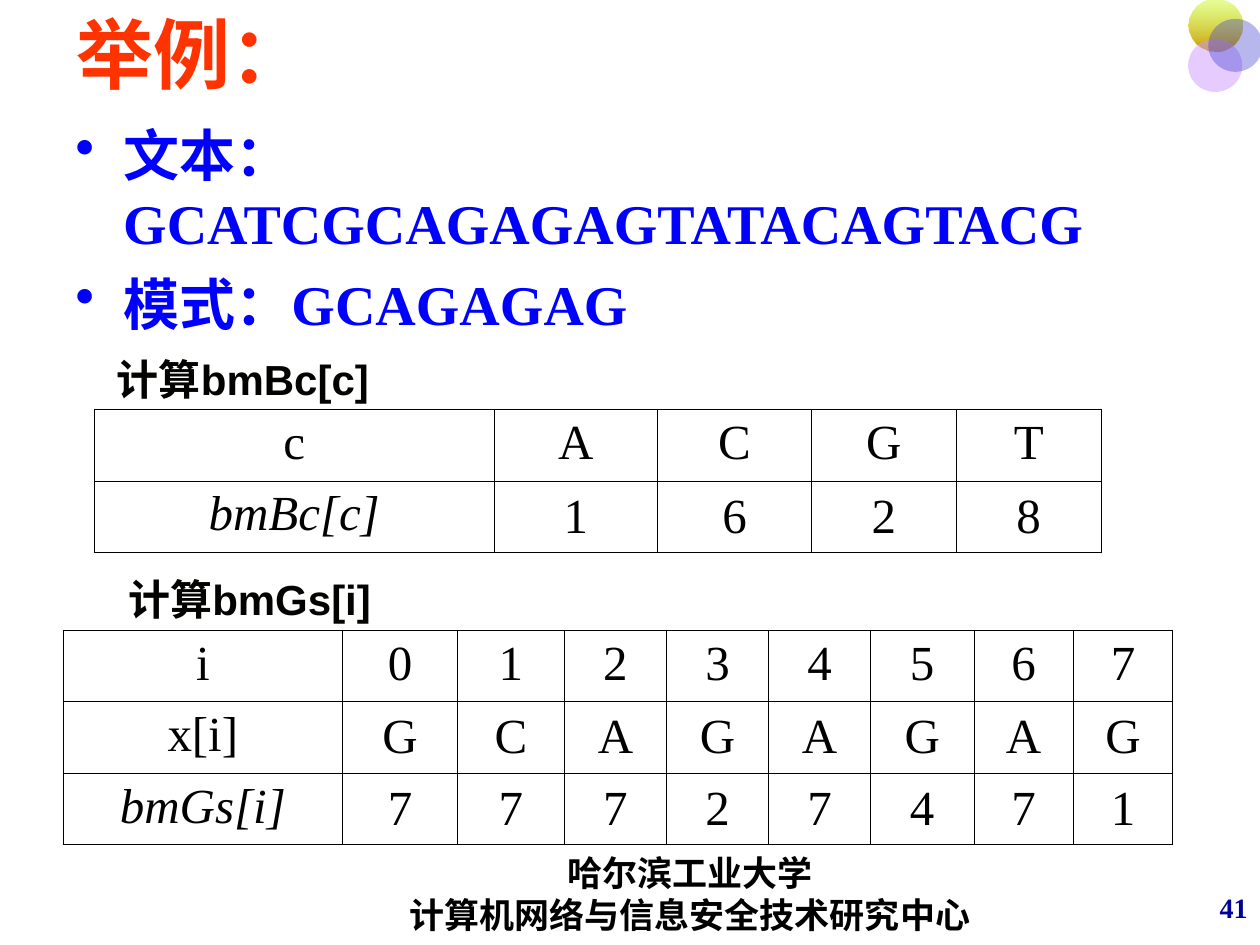
import pptx
import pptx.dml.color
import pptx.enum.shapes
import pptx.enum.text
import pptx.oxml
import pptx.oxml.ns
import pptx.util

ALIGN = pptx.enum.text.PP_ALIGN
ANCHOR = pptx.enum.text.MSO_ANCHOR
OVAL = pptx.enum.shapes.MSO_SHAPE.OVAL
SERIF = "Times New Roman"
SANS = "Arial"


def color(value):
    return pptx.dml.color.RGBColor.from_string(value)


def set_values(target, values):
    for name, value in values.items():
        setattr(target, name, value)


def element(xml):
    return pptx.oxml.parse_xml(xml.replace(">", f" {pptx.oxml.ns.nsdecls('a')}>", 1))


def set_alpha(fill_element, percent):
    node = next(fill_element.iter(pptx.oxml.ns.qn("a:srgbClr")))
    node.append(element(f'<a:alpha val="{percent * 1000}"></a:alpha>'))


class SlideBuilder:
    outer_line = 0.45
    inner_line = 0.34
    cell_font = {"size": pptx.util.Pt(28), "name": SERIF, "bold": False}

    def __init__(self, prs):
        self.prs = prs
        self.s = prs.slides.add_slide(prs.slide_layouts[6])

    def x(self, percent):
        return round(self.prs.slide_width * percent / 100)

    def y(self, percent):
        return round(self.prs.slide_height * percent / 100)

    def box(self, left, top, width, height):
        return self.x(left), self.y(top), self.x(width), self.y(height)

    def run(self, p, text, font, rgb, **layout):
        set_values(p, layout)
        r = p.add_run()
        r.text = text
        set_values(r.font, font)
        r.font.color.rgb = color(rgb)

    def text(self, place, lines, size, rgb, name=SERIF, anchor=ANCHOR.MIDDLE,
             wrap=True, bullet=False, gap=0, **layout):
        sp = self.s.shapes.add_textbox(*self.box(*place))
        tf = sp.text_frame
        set_values(tf, {"word_wrap": wrap, "vertical_anchor": anchor})
        font = {"size": pptx.util.Pt(size), "name": name, "bold": True}
        for i, line in enumerate(lines):
            p = tf.add_paragraph() if i else tf.paragraphs[0]
            if bullet:
                self.bullet(p, rgb)
            space = {"space_before": pptx.util.Pt(gap if i else 0)}
            self.run(p, line, font, rgb, **space, **layout)

    def bullet(self, p, rgb):
        indent = pptx.util.Inches(0.38)
        pPr = p._p.get_or_add_pPr()
        pPr.set("marL", str(indent))
        pPr.set("indent", str(-indent))
        pPr.append(element(f'<a:buClr><a:srgbClr val="{rgb}"/></a:buClr>'))
        pPr.append(element('<a:buChar char="•"></a:buChar>'))

    def circles(self, size, items):
        group = self.s.shapes.add_group_shape()
        for left, top, colors, alpha in items:
            sp = group.shapes.add_shape(OVAL, *self.box(left, top, *size))
            sp.shadow.inherit = False
            sp.line.fill.background()
            if len(colors) == 1:
                sp.fill.solid()
                sp.fill.fore_color.rgb = color(colors[0])
            else:
                sp.fill.gradient()
                sp.fill.gradient_angle = 270
                for stop, rgb in zip(sp.fill.gradient_stops, colors):
                    stop.color.rgb = color(rgb)
            set_alpha(sp._element.spPr, alpha)

    def table(self, left, top, widths, row_height, rows):
        place = self.box(left, top, sum(widths), row_height * len(rows))
        table = self.s.shapes.add_table(len(rows), len(widths), *place).table
        set_values(table, {"first_row": False, "horz_banding": False})
        for column, width in zip(table.columns, widths):
            column.width = self.x(width)
        for i, row in enumerate(rows):
            table.rows[i].height = self.y(row_height)
            for j, value in enumerate(row):
                cell = table.cell(i, j)
                cell.fill.background()
                cell.vertical_anchor = ANCHOR.MIDDLE if i and j else ANCHOR.TOP
                last_row, last_column = i == len(rows) - 1, j == len(row) - 1
                self.borders(cell, {"L": j == 0, "R": last_column,
                                    "T": i == 0, "B": last_row})
                font = {**self.cell_font, "italic": last_row and j == 0}
                self.run(cell.text_frame.paragraphs[0], value, font, "000000",
                         alignment=ALIGN.CENTER)

    def borders(self, cell, edges):
        tcPr = cell._tc.get_or_add_tcPr()
        for i, (side, outer) in enumerate(edges.items()):
            width = pptx.util.Pt(self.outer_line if outer else self.inner_line)
            tcPr.insert(i, element(
                f'<a:ln{side} w="{width}"><a:solidFill><a:srgbClr val="000000"/>'
                f'</a:solidFill></a:ln{side}>'))


def main():
    prs = pptx.Presentation()
    prs.slide_width = pptx.util.Inches(10)
    prs.slide_height = pptx.util.Inches(7.5)
    slide = SlideBuilder(prs)

    slide.text((92.2, 92.67, 7.8, 6.67), ["41"], 16, "000099", alignment=ALIGN.RIGHT)
    slide.text((25.6, 89.87, 58.3, 9.47),
               ["哈尔滨工业大学", "计算机网络与信息安全技术研究中心"],
               20, "000000", wrap=False, alignment=ALIGN.CENTER)
    slide.circles((4.3, 5.6), [
        (94.3, -0.13, ["CCFF33", "CC9900"], 50),
        (94.3, 4.13, ["CC99FF"], 50),
        (95.9, 2, ["3333CC"], 35),
    ])
    slide.text((5.1, 0, 90, 11.2), ["举例："], 44, "FF3300")
    slide.text((5, 12.13, 90, 77.07),
               ["文本：GCATCGCAGAGAGTATACAGTACG", "模式：GCAGAGAG"],
               32, "0000FF", anchor=ANCHOR.TOP, bullet=True, gap=8)

    for left, top, label in [(8.3, 37.73, "计算bmBc[c]"), (9.2, 61.07, "计算bmGs[i]")]:
        slide.text((left, top, 80, 5.6), [label], 24, "030301", name=SANS,
                   anchor=ANCHOR.TOP, line_spacing=0.8)

    slide.table(7.5, 43.33, [31.7, 13, 12.2, 11.5, 11.5], 7.55,
                [["c", *"ACGT"], ["bmBc[c]", *"1628"]])
    slide.table(5, 66.67, [22.2, 9.1, 8.5, 8.1, 8.1, 8.1, 8.2, 7.9, 7.9], 7.55,
                [["i", *"01234567"], ["x[i]", *"GCAGAGAG"], ["bmGs[i]", *"77727471"]])
    prs.save("out.pptx")


if __name__ == "__main__":
    main()
